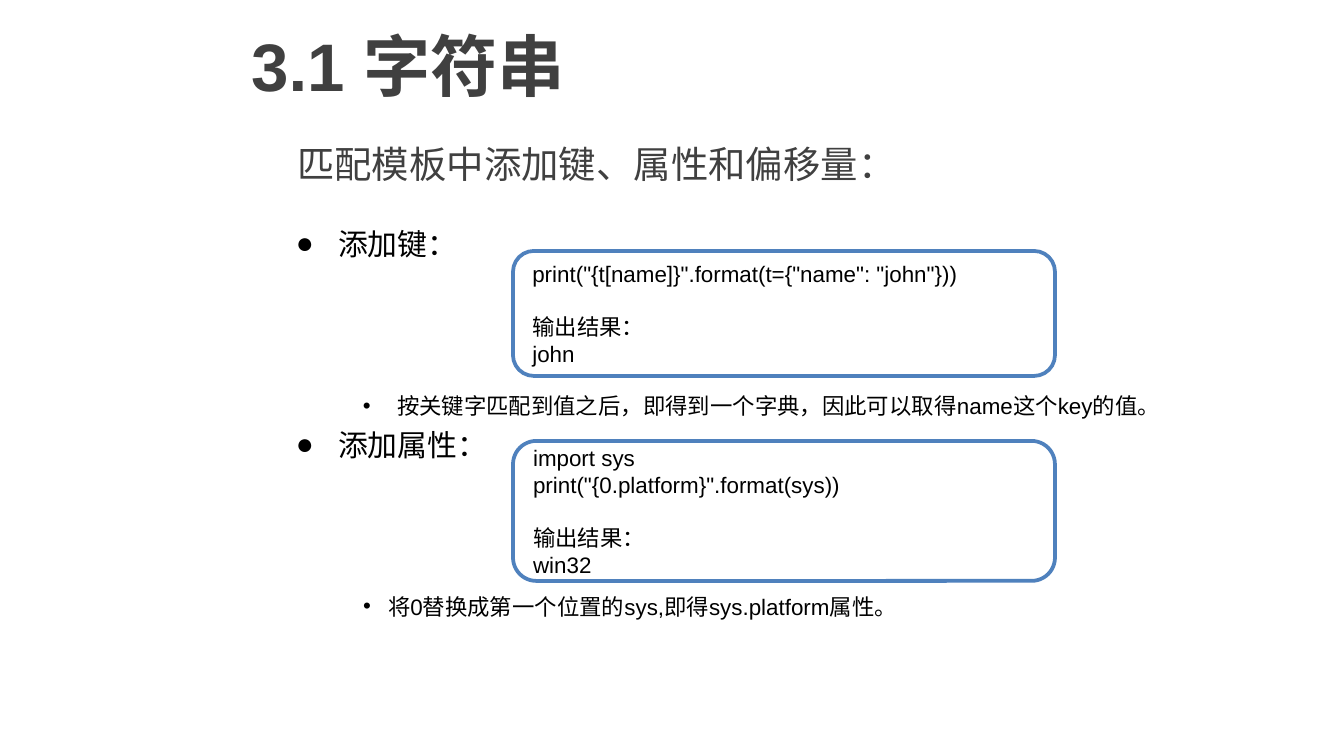
from dataclasses import dataclass

from lxml.etree import SubElement
from pptx import Presentation
from pptx.dml.color import RGBColor
from pptx.enum.shapes import MSO_SHAPE
from pptx.enum.text import MSO_ANCHOR, PP_ALIGN
from pptx.oxml.ns import qn
from pptx.util import Emu, Pt

PX = 914400 / 134.4
FONT = "Arial"
GREY, BLACK, WHITE, BLUE = "404040", "000000", "FFFFFF", "4F81BD"


@dataclass
class Area:
    left: int
    top: int
    width: int
    height: int


@dataclass
class Bullet:
    text: str
    symbol: str
    level: int
    size: int
    margin: int
    hanging: int
    gap: int


@dataclass
class Example:
    area: Area
    code: list[str]
    result: str


def px(length: int) -> Emu:
    return Emu(round(length * PX))


def color(value: str) -> RGBColor:
    return RGBColor.from_string(value)


def place(area: Area) -> list[Emu]:
    return [px(n) for n in (area.left, area.top, area.width, area.height)]


def write(paragraph, text: str, size: int, ink: str, bold: bool = False) -> None:
    paragraph.text = text
    font = paragraph.font
    font.name, font.size, font.bold = FONT, Pt(size), bold
    font.color.rgb = color(ink)
    defaults = paragraph._p.pPr.find(qn("a:defRPr"))
    SubElement(defaults, qn("a:ea")).set("typeface", FONT)


def next_paragraph(frame, index: int):
    return frame.add_paragraph() if index else frame.paragraphs[0]


def add_heading(slide, area: Area, text: str, size: int, bold: bool) -> None:
    frame = slide.shapes.add_textbox(*place(area)).text_frame
    frame.word_wrap = True
    frame.vertical_anchor = MSO_ANCHOR.MIDDLE
    write(frame.paragraphs[0], text, size, GREY, bold)


def add_bullets(slide, area: Area, bullets: list[Bullet]) -> None:
    frame = slide.shapes.add_textbox(*place(area)).text_frame
    frame.word_wrap = True
    frame.margin_left = px(58)
    for index, bullet in enumerate(bullets):
        paragraph = next_paragraph(frame, index)
        paragraph.level = bullet.level
        paragraph.space_before = Pt(bullet.gap)
        properties = paragraph._p.get_or_add_pPr()
        properties.set("marL", str(px(bullet.margin)))
        properties.set("indent", str(-px(bullet.hanging)))
        SubElement(properties, qn("a:buFont")).set("typeface", FONT)
        SubElement(properties, qn("a:buChar")).set("char", bullet.symbol)
        write(paragraph, bullet.text, bullet.size, BLACK)


def add_example(slide, example: Example) -> None:
    box = slide.shapes.add_shape(MSO_SHAPE.ROUNDED_RECTANGLE, *place(example.area))
    box.shadow.inherit = False
    box.fill.solid()
    box.fill.fore_color.rgb = color(WHITE)
    box.line.color.rgb = color(BLUE)
    box.line.width = Pt(2)
    frame = box.text_frame
    frame.word_wrap = True
    frame.vertical_anchor = MSO_ANCHOR.MIDDLE
    lines = [*example.code, "输出结果：", example.result]
    for index, line in enumerate(lines):
        paragraph = next_paragraph(frame, index)
        paragraph.alignment = PP_ALIGN.JUSTIFY
        if index == len(example.code):
            paragraph.space_before = Pt(14)
        write(paragraph, line, 12, BLACK)


BULLETS = [
    Bullet("添加键：", "●", 1, 16, 42, 42, 0),
    Bullet("按关键字匹配到值之后，即得到一个字典，因此可以取得name这个key的值。",
           "•", 2, 12, 101, 34, 70),
    Bullet("添加属性：", "●", 1, 16, 42, 42, 4),
    Bullet("将0替换成第一个位置的sys,即得sys.platform属性。",
           "•", 2, 12, 92, 25, 70),
]
EXAMPLES = [
    Example(Area(513, 251, 542, 125),
            ['print("{t[name]}".format(t={"name": "john"}))'], "john"),
    Example(Area(513, 441, 542, 140),
            ["import sys", 'print("{0.platform}".format(sys))'], "win32"),
]


def main() -> None:
    deck = Presentation()
    deck.slide_width, deck.slide_height = px(1344), px(756)
    slide = deck.slides.add_slide(deck.slide_layouts[6])
    add_heading(slide, Area(238, 0, 1106, 130), "3.1 字符串", 36, True)
    add_heading(slide, Area(284, 130, 1016, 67), "匹配模板中添加键、属性和偏移量：", 20, False)
    add_bullets(slide, Area(238, 219, 1016, 441), BULLETS)
    for example in EXAMPLES:
        add_example(slide, example)
    deck.save("out.pptx")


if __name__ == "__main__":
    main()
